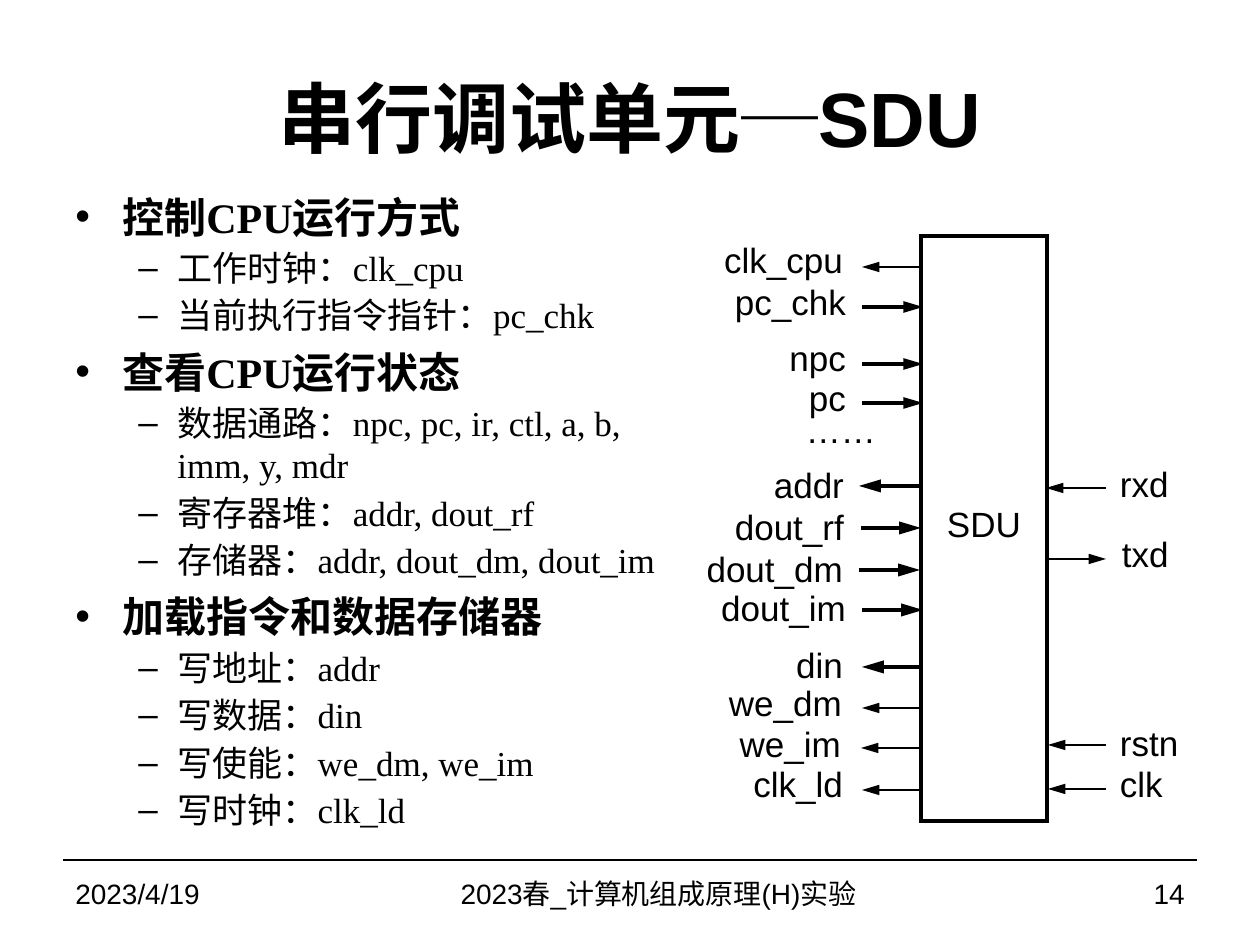
from typing import NamedTuple, Optional

import pptx
import pptx.util
import pptx.dml.color
import pptx.enum.shapes
import pptx.enum.text
import pptx.oxml.ns
from lxml import etree

PX = 914400 // 126
BLACK = pptx.dml.color.RGBColor(0, 0, 0)
SANS, SERIF, CJK = "Arial", "Times New Roman", "Noto Sans CJK SC"
ALIGN = pptx.enum.text.PP_ALIGN
MIDDLE = pptx.enum.text.MSO_ANCHOR.MIDDLE
LABEL_SLACK = 8
qn = pptx.oxml.ns.qn


class Level(NamedTuple):
    bullet: str
    margin: int
    hanging: int
    size: int
    bold: bool
    before: int
    line: float


class Signal(NamedTuple):
    name: str
    left: int
    top: int
    width: int
    start: int = 0
    end: int = 0
    y: Optional[int] = None
    weight: float = 1.5


HEAD = Level("•", 47, 47, 24, True, 6, 28.7)
ITEM = Level("–", 102, 39, 20, False, 3, 24)

TOPICS = {
    "控制CPU运行方式": ["工作时钟：clk_cpu", "当前执行指令指针：pc_chk"],
    "查看CPU运行状态": ["数据通路：npc, pc, ir, ctl, a, b, imm, y, mdr",
                  "寄存器堆：addr, dout_rf", "存储器：addr, dout_dm, dout_im"],
    "加载指令和数据存储器": ["写地址：addr", "写数据：din", "写使能：we_dm, we_im", "写时钟：clk_ld"],
}

# Arrows run from start to end
LEFT_SIGNALS = [
    Signal("clk_cpu", 723, 238, 120, 922, 862, 267),
    Signal("pc_chk", 734, 280, 112, 862, 923, 307, 2.25),
    Signal("npc", 789, 337, 57, 862, 923, 364, 2.25),
    Signal("pc", 808, 376, 38, 862, 923, 403, 2.25),
    Signal("……", 805, 408, 71),
    Signal("addr", 773, 464, 71, 920, 859, 486, 2.5),
    Signal("dout_rf", 734, 505, 110, 861, 921, 528, 2.5),
    Signal("dout_dm", 706, 547, 137, 859, 920, 570, 2.5),
    Signal("dout_im", 720, 586, 126, 862, 923, 610, 2.5),
    Signal("din", 795, 643, 48, 922, 862, 667, 2.5),
    Signal("we_dm", 728, 681, 114, 921, 862, 708),
    Signal("we_im", 738, 723, 103, 921, 861, 748),
    Signal("clk_ld", 752, 762, 91, 922, 862, 790),
]
RIGHT_SIGNALS = [
    Signal("rxd", 1120, 463, 50, 1106, 1046, 488),
    Signal("txd", 1122, 533, 50, 1048, 1106, 559),
    Signal("rstn", 1120, 721, 59, 1106, 1048, 745),
    Signal("clk", 1120, 762, 43, 1106, 1048, 789),
]


def add_run(p, text: str, font: str, size: float, bold: bool = False) -> None:
    r = p.add_run()
    r.text = text
    r.font.name, r.font.size, r.font.bold = font, pptx.util.Pt(size), bold
    r.font.color.rgb = BLACK
    latin = r._r.rPr.find(qn("a:latin"))
    latin.addnext(etree.Element(qn("a:ea"), typeface=CJK))


def add_box(s, left: int, top: int, width: int, height: int):
    sp = s.shapes.add_textbox(left * PX, top * PX, width * PX, height * PX)
    sp.text_frame.word_wrap = True
    return sp.text_frame


def no_insets(tf) -> None:
    tf.margin_left = tf.margin_right = tf.margin_top = tf.margin_bottom = 0
    tf.word_wrap = False


def add_line(s, x1: int, y1: int, x2: int, y2: int, weight: float, arrow: bool = False) -> None:
    kind = pptx.enum.shapes.MSO_CONNECTOR.STRAIGHT
    sp = s.shapes.add_connector(kind, x1 * PX, y1 * PX, x2 * PX, y2 * PX)
    sp.line.color.rgb = BLACK
    sp.line.width = pptx.util.Pt(weight)
    if arrow:
        etree.SubElement(sp.line._get_or_add_ln(), qn("a:tailEnd"),
                         type="triangle", w="med", len="lg")
    etree.SubElement(sp._element.spPr, qn("a:effectLst"))


def add_bullet(p, text: str, level: Level) -> None:
    p.space_before = pptx.util.Pt(level.before)
    p.line_spacing = pptx.util.Pt(level.line)
    pPr = p._p.get_or_add_pPr()
    pPr.set("marL", str(level.margin * PX))
    pPr.set("indent", str(-level.hanging * PX))
    etree.SubElement(pPr, qn("a:buFont"), typeface=SANS)
    etree.SubElement(pPr, qn("a:buChar"), char=level.bullet)
    add_run(p, text, SERIF, level.size, level.bold)


def add_signal(s, signal: Signal, align) -> None:
    if signal.y is not None:
        add_line(s, signal.start, signal.y, signal.end, signal.y, signal.weight, True)
    # Slack goes on the side away from the aligned edge
    shift = LABEL_SLACK if align == ALIGN.RIGHT else 0
    tf = add_box(s, signal.left - shift, signal.top, signal.width + LABEL_SLACK, 43)
    no_insets(tf)
    p = tf.paragraphs[0]
    p.alignment = align
    add_run(p, signal.name, SANS, 20)


prs = pptx.Presentation()
prs.slide_width, prs.slide_height = 1260 * PX, 945 * PX
s = prs.slides.add_slide(prs.slide_layouts[6])

# Title
tf = add_box(s, 63, 38, 1134, 158)
tf.vertical_anchor = MIDDLE
p = tf.paragraphs[0]
p.alignment = ALIGN.CENTER
for text, font in (("串行调试单元", SANS), ("─", CJK), ("SDU", SANS)):
    add_run(p, text, font, 44, True)

# Topics
tf = add_box(s, 63, 185, 615, 675)
p = None
for topic, items in TOPICS.items():
    for text, level in [(topic, HEAD)] + [(item, ITEM) for item in items]:
        first = p is None
        p = tf.paragraphs[0] if first else tf.add_paragraph()
        p.level = int(level is ITEM)
        add_bullet(p, text, level._replace(before=3) if first else level)

# Footer
add_line(s, 63, 860, 1197, 860, 0.75)
for text, left, width, align in (
    ("2023/4/19", 63, 294, ALIGN.LEFT),
    ("2023春_计算机组成原理(H)实验", 354, 609, ALIGN.CENTER),
    ("14", 966, 231, ALIGN.RIGHT),
):
    tf = add_box(s, left, 860, width, 66)
    tf.vertical_anchor = MIDDLE
    p = tf.paragraphs[0]
    p.alignment = align
    add_run(p, text, SANS, 16)

# Debug unit block
sp = s.shapes.add_shape(pptx.enum.shapes.MSO_SHAPE.RECTANGLE,
                        921 * PX, 236 * PX, 126 * PX, 585 * PX)
sp.shadow.inherit = False
sp.fill.background()
sp.line.color.rgb = BLACK
sp.line.width = pptx.util.Pt(2.25)
etree.SubElement(sp.line._get_or_add_ln(), qn("a:miter"), lim="800000")
tf = sp.text_frame
no_insets(tf)
tf.vertical_anchor = MIDDLE
p = tf.paragraphs[0]
p.alignment = ALIGN.CENTER
p.line_spacing = pptx.util.Pt(18)
add_run(p, "SDU", SANS, 20)

# Signals
for signals, align in ((LEFT_SIGNALS, ALIGN.RIGHT), (RIGHT_SIGNALS, ALIGN.LEFT)):
    for signal in signals:
        add_signal(s, signal, align)

prs.save("out.pptx")
